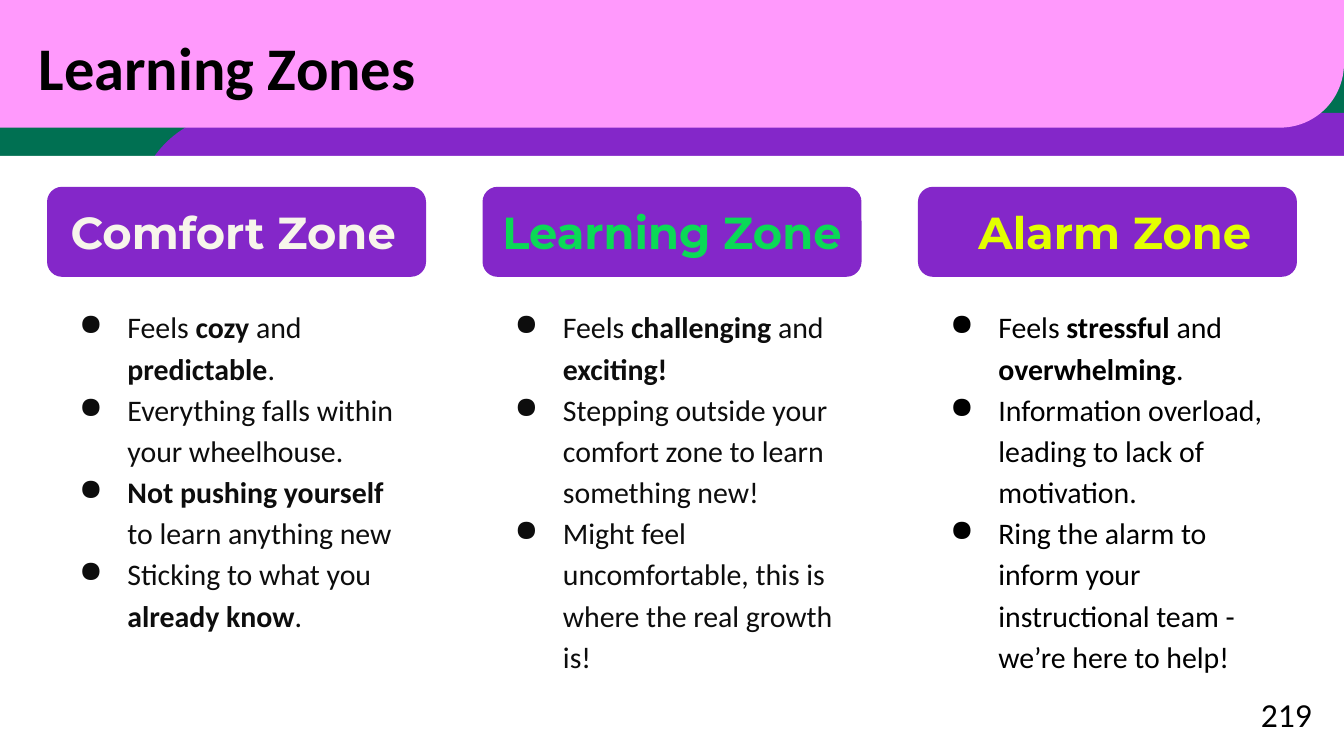
from dataclasses import dataclass

from lxml import etree
from pptx import Presentation
from pptx import util as u
from pptx.dml.color import RGBColor
from pptx.enum import shapes, text
from pptx.oxml.ns import qn


@dataclass(frozen=True)
class Theme:
    green: str = "007052"
    purple: str = "8427C9"
    pink: str = "FF99FC"
    white: str = "FFFFFF"
    black: str = "000000"
    ink: str = "0D0D0D"
    cream: str = "F7F5EB"
    lime: str = "0BD956"
    yellow: str = "E3FF00"
    body_font: str = "Calibri"
    heading_font: str = "Montserrat"
    title_size: float = 32.4
    heading_size: int = 24
    number_size: int = 18
    body_size: int = 16


THEME = Theme()
WIDTH, HEIGHT = 10, 5.625

# Column grid, in inches
COLUMN_LEFT, COLUMN_WIDTH, COLUMN_STEP = 0.35, 2.82, 3.24
CARD_TOP, CARD_HEIGHT = 1.39, 0.67
HEADING_TOP, HEADING_HEIGHT = 1.45, 0.55
LIST_TOP, LIST_HEIGHT = 2.16, 3.19

# Each zone: heading, its colour, inset from the column's left and right edges,
# list colour, and bullet points with **bold** parts
ZONES = [
    ("Comfort Zone ", THEME.cream, (0.03, 0.08), THEME.ink, [
        "Feels **cozy** and **predictable**.",
        "Everything falls within your wheelhouse.",
        "**Not pushing yourself **to learn anything new",
        "Sticking to what you **already know**.",
    ]),
    ("Learning Zone", THEME.lime, (0, 0), THEME.ink, [
        "Feels **challenging **and **exciting!**",
        "Stepping outside your comfort zone to learn something new!",
        "Might feel uncomfortable, this is where the real growth is!",
    ]),
    ("Alarm Zone", THEME.yellow, (0.31, 0.2), THEME.black, [
        "Feels **stressful** and **overwhelming**.",
        "Information overload, leading to lack of motivation.",
        "Ring the alarm to inform your instructional team - we’re here to help!",
    ]),
]


def add_panel(slide, kind, box, color, corner=None, flip=None):
    """Add a plain filled shape, optionally rounded and mirrored."""
    shape = slide.shapes.add_shape(kind, *map(u.Inches, box))
    shape.shadow.inherit = False
    shape.fill.solid()
    shape.fill.fore_color.rgb = RGBColor.from_string(color)
    shape.line.fill.background()
    if corner is not None:
        shape.adjustments[0] = corner
    if flip:
        shape._element.spPr.find(qn("a:xfrm")).set(flip, "1")
    return shape


def add_bullet(paragraph, color):
    """Give a paragraph a round bullet with a hanging indent."""
    properties = paragraph._p.get_or_add_pPr()
    properties.set("marL", str(u.Inches(0.5)))
    properties.set("indent", str(u.Inches(-0.36)))
    bullet_color = etree.SubElement(properties, qn("a:buClr"))
    etree.SubElement(bullet_color, qn("a:srgbClr"), val=color)
    etree.SubElement(properties, qn("a:buChar"), char="●")


def add_text(slide, box, lines, *, size, color, font=THEME.body_font, bold=False,
             align=text.PP_ALIGN.LEFT, anchor=text.MSO_ANCHOR.TOP, spacing=1.0,
             bullets=False):
    """Add a text box; parts between ** marks switch bold on and off."""
    frame = slide.shapes.add_textbox(*map(u.Inches, box)).text_frame
    frame.word_wrap = True
    frame.vertical_anchor = anchor
    frame.margin_left = frame.margin_right = u.Inches(0.1)
    frame.margin_top = frame.margin_bottom = u.Inches(0.1)
    for index, line in enumerate(lines):
        paragraph = frame.add_paragraph() if index else frame.paragraphs[0]
        paragraph.alignment = align
        paragraph.line_spacing = spacing
        if bullets:
            add_bullet(paragraph, color)
        for part, words in enumerate(line.split("**")):
            if not words:
                continue
            run = paragraph.add_run()
            run.text = words
            run.font.name = font
            run.font.size = u.Pt(size)
            run.font.bold = bold or part % 2 == 1
            run.font.color.rgb = RGBColor.from_string(color)


def add_banner(slide):
    """Paint the layered background and the title band."""
    slide.background.fill.solid()
    slide.background.fill.fore_color.rgb = RGBColor.from_string(THEME.green)
    rounded = shapes.MSO_SHAPE.ROUND_1_RECTANGLE
    add_panel(slide, rounded, (1.01, 0.84, WIDTH - 1.01, 4.54), THEME.purple,
              corner=0.168, flip="flipH")
    add_panel(slide, shapes.MSO_SHAPE.RECTANGLE,
              (0, 1.16, WIDTH, HEIGHT - 1.16), THEME.white)
    add_panel(slide, rounded, (-0.03, 0, WIDTH + 0.03, 0.95), THEME.pink,
              corner=0.5, flip="flipV")


def add_zone(slide, column, heading, heading_color, insets, list_color, points):
    """Add one column: card, heading and bullet list."""
    left = COLUMN_LEFT + column * COLUMN_STEP
    add_panel(slide, shapes.MSO_SHAPE.ROUNDED_RECTANGLE,
              (left, CARD_TOP, COLUMN_WIDTH, CARD_HEIGHT), THEME.purple, corner=0.167)
    add_text(slide,
             (left + insets[0], HEADING_TOP, COLUMN_WIDTH - sum(insets), HEADING_HEIGHT),
             [heading], size=THEME.heading_size, color=heading_color,
             font=THEME.heading_font, bold=True, align=text.PP_ALIGN.CENTER, spacing=0.95)
    add_text(slide, (left, LIST_TOP, COLUMN_WIDTH, LIST_HEIGHT), points,
             size=THEME.body_size, color=list_color, spacing=1.15, bullets=True)


def main():
    presentation = Presentation()
    presentation.slide_width = u.Inches(WIDTH)
    presentation.slide_height = u.Inches(HEIGHT)
    slide = presentation.slides.add_slide(presentation.slide_layouts[6])

    # Background, title and page number
    add_banner(slide)
    add_text(slide, (0.19, 0.09, 8.9, 0.8), ["Learning Zones"], size=THEME.title_size,
             color=THEME.black, bold=True, anchor=text.MSO_ANCHOR.MIDDLE)
    add_text(slide, (9.09, 5.1, 0.77, 0.43), ["219"], size=THEME.number_size,
             color=THEME.black, align=text.PP_ALIGN.RIGHT, anchor=text.MSO_ANCHOR.MIDDLE)

    # The three zones
    for column, zone in enumerate(ZONES):
        add_zone(slide, column, *zone)

    presentation.save("out.pptx")


if __name__ == "__main__":
    main()
